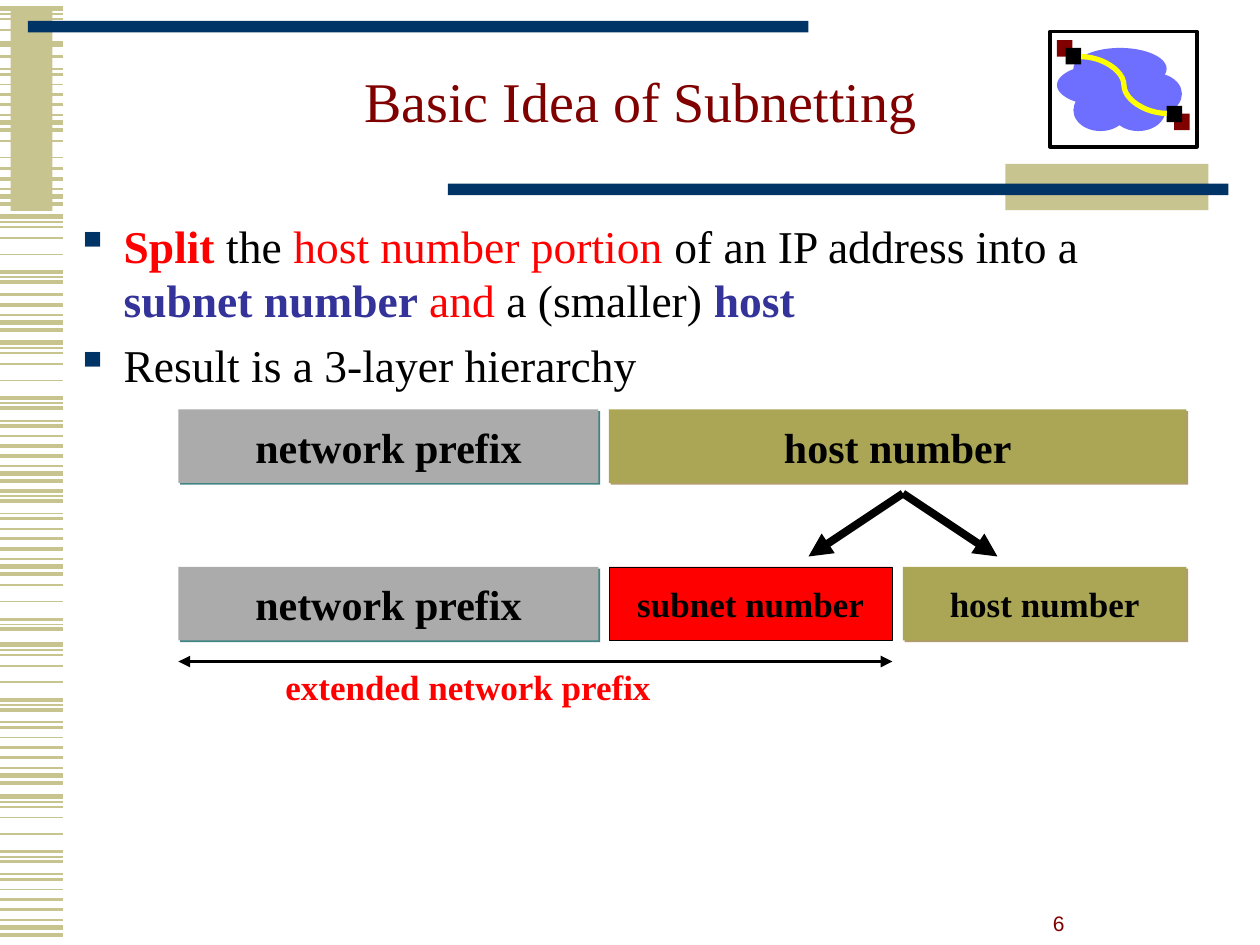
"""Build the slide on the basic idea of subnetting."""
from lxml import etree
from pptx import Presentation
from pptx import util as u
from pptx.dml.color import RGBColor
from pptx.enum import shapes, text
from pptx.oxml import ns

SAND = RGBColor(0xC7, 0xC4, 0x8F)
NAVY = RGBColor(0x00, 0x33, 0x66)
MAROON = RGBColor(0x80, 0x00, 0x00)
BLACK = RGBColor(0x00, 0x00, 0x00)
WHITE = RGBColor(0xFF, 0xFF, 0xFF)
RED = RGBColor(0xFF, 0x00, 0x00)
INDIGO = RGBColor(0x33, 0x33, 0x99)
CLOUD = RGBColor(0x6F, 0x6F, 0xFF)
YELLOW = RGBColor(0xFF, 0xFF, 0x00)
GREY = RGBColor(0xAB, 0xAB, 0xAB)
OLIVE = RGBColor(0xAA, 0xA6, 0x56)
TEAL_SHADOW = RGBColor(0x00, 0x5C, 0x5C)
BROWN_SHADOW = RGBColor(0x99, 0x7A, 0x3D)

SERIF = "Times New Roman"
RECTANGLE = shapes.MSO_SHAPE.RECTANGLE
OVAL = shapes.MSO_SHAPE.OVAL
CENTER = text.PP_ALIGN.CENTER
MIDDLE = text.MSO_ANCHOR.MIDDLE

STRIPES = [(0, 3), (3.2, 1), (6, 1), (12.2, 1), (21.6, 1), (31.7, 2), (34.6, 1), (37.4, 2),
           (44.6, 1), (47.5, 2), (53.3, 1), (59, 2), (64.8, 2), (70.6, 1), (74.9, 3), (79.2, 2)]
STRIPE_BANDS = [(455, 0, 16), (368.2, 0, 16), (322.2, 3, 8), (248.8, 5, 16), (195.8, 0, 16),
                (123.8, 0, 8), (109.4, 11, 16), (68.4, 3, 5), (37.4, 11, 16), (-5, 7, 16),
                (5, 0, 4), (-49.7, 14, 15)]


def points(*values):
    """Turn plain numbers into point lengths."""
    return [u.Pt(value) for value in values]


def add_xml(parent, tag, **attributes):
    """Append a DrawingML element and return it."""
    return etree.SubElement(parent, ns.qn(f"a:{tag}"), attributes)


def set_all(target, formats):
    """Set each attribute named in a dict of format values."""
    for name, value in formats.items():
        setattr(target, name, value)


def format_frame(frame, margins=(7.2, 3.6, 7.2, 3.6), wrap=True, anchor=text.MSO_ANCHOR.TOP):
    """Set the margins, wrapping and anchor of a text frame."""
    left, top, right, bottom = points(*margins)
    set_all(frame, {"margin_left": left, "margin_top": top, "margin_right": right,
                    "margin_bottom": bottom, "word_wrap": wrap, "vertical_anchor": anchor})


def write(paragraph, runs, size, font=SERIF, **formats):
    """Fill a paragraph with (text, colour, bold) runs."""
    set_all(paragraph, formats)
    for content, color, bold in runs:
        run = paragraph.add_run()
        run.text = content
        set_all(run.font, {"name": font, "size": u.Pt(size), "bold": bold})
        run.font.color.rgb = color


def add_block(parent, box, fill, kind=RECTANGLE, line=None, weight=0, shadow=None):
    """Add a filled shape with an optional outline and offset shadow."""
    shape = parent.add_shape(kind, *points(*box))
    shape.fill.solid()
    shape.fill.fore_color.rgb = fill
    if line is None:
        shape.line.fill.background()
    else:
        shape.line.color.rgb = line
        shape.line.width = u.Pt(weight)
    shape.shadow.inherit = False
    if shadow is not None:
        effects = shape.element.spPr.find(ns.qn("a:effectLst"))
        outer = add_xml(effects, "outerShdw", dist=str(u.Pt(1.4)), dir="2700000", algn="ctr")
        add_xml(add_xml(outer, "srgbClr", val=str(shadow)), "alpha", val="75000")
    return shape


def add_field(parent, label, box, size, fill, **style):
    """Add one labelled field of the address."""
    frame = add_block(parent, box, fill, **style).text_frame
    format_frame(frame, wrap=False, anchor=MIDDLE)
    write(frame.paragraphs[0], [(label, BLACK, True)], size, alignment=CENTER)


def add_line(parent, start, end, color, weight, arrows=()):
    """Add a straight line with arrowheads at the named ends."""
    line = parent.add_connector(shapes.MSO_CONNECTOR.STRAIGHT, *points(*start, *end))
    line.line.color.rgb = color
    line.line.width = u.Pt(weight)
    properties = line.element.spPr
    for arrow in arrows:
        add_xml(properties.find(ns.qn("a:ln")), arrow, type="triangle")
    add_xml(properties, "effectLst")


def add_text(parent, box, runs, size, font=SERIF, wrap=True,
             anchor=text.MSO_ANCHOR.TOP, **formats):
    """Add a text box with one paragraph."""
    frame = parent.add_textbox(*points(*box)).text_frame
    format_frame(frame, wrap=wrap, anchor=anchor)
    write(frame.paragraphs[0], runs, size, font, **formats)


def add_bullets(parent, box, items):
    """Add the bulleted list with its hanging indent and tab stops."""
    frame = parent.add_textbox(*points(*box)).text_frame
    format_frame(frame, margins=(4.3, 4.3, 10, 4.3))
    for index, runs in enumerate(items):
        paragraph = frame.add_paragraph() if index else frame.paragraphs[0]
        properties = paragraph._p.get_or_add_pPr()
        properties.set("marL", str(u.Pt(30.4)))
        properties.set("indent", str(u.Pt(-27.4)))
        add_xml(add_xml(properties, "buClr"), "srgbClr", val=str(NAVY))
        add_xml(properties, "buChar", char="▪")
        tabs = add_xml(properties, "tabLst")
        for stop in range(1, 9):
            add_xml(tabs, "tab", pos=str(u.Pt(72 * stop)), algn="l")
        write(paragraph, runs, 26, space_before=u.Pt(6 if index else 0))


def add_curve(parent, start, end):
    """Add an S-shaped open curve made of two mirrored Bézier halves."""
    width, height = end[0] - start[0], end[1] - start[1]
    half = []
    for step in range(13):
        t = step / 12
        across = 3 * t * (1 - t) ** 2 * 0.5 + 3 * t ** 2 * (1 - t) + t ** 3
        down = 3 * t ** 2 * (1 - t) * 0.5 + t ** 3
        half.append((across / 2, down / 2))
    curve = half + [(1 - x, 1 - y) for x, y in reversed(half[:-1])]
    places = [points(start[0] + width * x, start[1] + height * y) for x, y in curve]
    builder = parent.build_freeform(*places[0])
    builder.add_line_segments(places[1:], close=False)
    shape = builder.convert_to_shape()
    shape.fill.background()
    shape.line.color.rgb = YELLOW
    shape.line.width = u.Pt(3)
    shape.shadow.inherit = False


def add_decoration(parent):
    """Add the striped margin, the bars and the network emblem."""
    stripes = parent.add_group_shape().shapes
    for top, first, stop in STRIPE_BANDS:
        for offset, weight in STRIPES[first:stop]:
            add_line(stripes, (0, top + offset), (36, top + offset), SAND, weight)
    for box, color in [((6, 6, 24, 114.5), SAND), ((16, 12, 446, 6.5), NAVY),
                       ((574.5, 93.6, 116, 26.6), SAND), ((256, 105, 446, 6.5), NAVY)]:
        add_block(parent, box, color)
    emblem = parent.add_group_shape().shapes
    add_block(emblem, (600, 18, 84, 66), WHITE, line=BLACK, weight=2)
    add_block(emblem, (671, 65, 8.8, 9.4), MAROON)
    for left, top, width in [(604, 36.7, 53.3), (613.4, 27.4, 53.3), (613.4, 51.1, 31),
                             (635, 51.1, 31), (635, 41.8, 31), (644.4, 41.8, 31)]:
        add_block(emblem, (left, top, width, 23.8), CLOUD, kind=OVAL)
    for left, top, color in [(604, 23, MAROON), (609, 27.4, BLACK), (666.7, 60.5, BLACK)]:
        add_block(emblem, (left, top, 8.8, 9.4), color)
    add_curve(emblem, (617.8, 32.4), (666.7, 64.8))


def add_title(slide, content):
    """Place and format the title placeholder."""
    title = slide.shapes.title
    left, top, width, height = points(36, 0, 666, 120)
    set_all(title, {"left": left, "top": top, "width": width, "height": height})
    format_frame(title.text_frame, margins=(4.3, 4.3, 10, 4.3), anchor=MIDDLE)
    write(title.text_frame.paragraphs[0], [(content, MAROON, False)], 32,
          alignment=CENTER, line_spacing=0.85)


def add_address_diagram(parent):
    """Show the host number being split under the network prefix."""
    upper, lower, height = 234, 324, 42
    host = {"fill": OLIVE, "shadow": BROWN_SHADOW}
    for top in (upper, lower):
        add_field(parent, "network prefix", (102, top, 240, height), 24, GREY, shadow=TEAL_SHADOW)
    add_field(parent, "host number", (348, upper, 330, height), 24, **host)
    add_field(parent, "subnet number", (348, lower, 162, height), 20, RED, line=BLACK, weight=0.5)
    add_field(parent, "host number", (516, lower, 162, height), 20, **host)
    for side in (-54, 54):
        add_line(parent, (516, 282), (516 + side, 318), BLACK, 4.5, ["tailEnd"])
    add_line(parent, (102, 378), (510, 378), BLACK, 2.25, ["headEnd", "tailEnd"])
    add_text(parent, (156, 376.8, 294, 31.5), [("extended network prefix", RED, True)], 20)


def main():
    """Build and save the presentation."""
    presentation = Presentation()
    presentation.slide_width, presentation.slide_height = points(720, 540)
    slide = presentation.slides.add_slide(presentation.slide_layouts[5])
    add_decoration(slide.shapes)
    add_title(slide, "Basic Idea of Subnetting")
    add_bullets(slide.shapes, (36, 120, 667.5, 420), [
        [("Split", RED, True), (" the ", BLACK, False), ("host number portion ", RED, False),
         ("of an IP address into a \t", BLACK, False), ("subnet number ", INDIGO, True),
         ("and", RED, False), (" a (smaller) ", BLACK, False), ("host", INDIGO, True)],
        [("Result is a 3-layer hierarchy", BLACK, False)]])
    add_address_diagram(slide.shapes)
    add_text(slide.shapes, (594, 516, 22, 22), [("6", MAROON, False)], 12, "Arial",
             wrap=False, anchor=text.MSO_ANCHOR.BOTTOM, alignment=CENTER)
    presentation.save("out.pptx")


if __name__ == "__main__":
    main()
